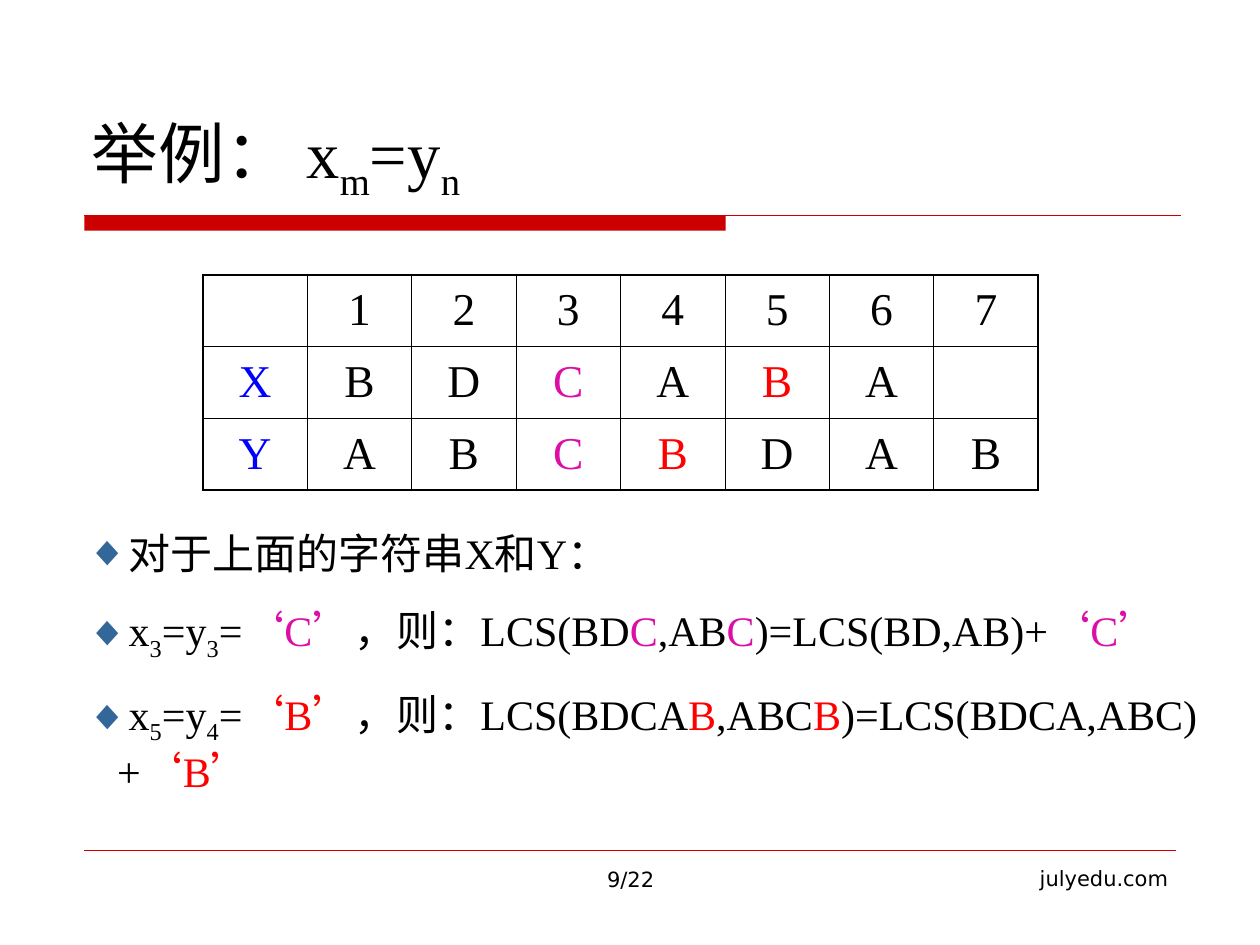
from lxml.etree import SubElement
from pptx import Presentation
from pptx.dml.color import RGBColor
from pptx.enum.lang import MSO_LANGUAGE_ID
from pptx.enum.shapes import MSO_CONNECTOR, MSO_SHAPE
from pptx.enum.text import MSO_ANCHOR, MSO_AUTO_SIZE, PP_ALIGN
from pptx.oxml.ns import qn
from pptx.util import Inches, Pt

COLORS = {
    "black": "000000",
    "rule": "CC0000",
    "blue": "0000FF",
    "pink": "DC0EA6",
    "red": "FF0000",
    "bullet": "336699",
}
SERIF = "Times New Roman"


def color(name):
    return RGBColor.from_string(COLORS[name])


def write(para, spans, size, font_name=SERIF):
    para.font.name = font_name
    para.font.size = Pt(size)
    para.font.color.rgb = color("black")
    for text, style in spans:
        span = para.add_run()
        span.text = text
        span.font.language_id = MSO_LANGUAGE_ID.SIMPLIFIED_CHINESE
        if style == "sub":
            span.font._element.set("baseline", "-25000")
        elif style:
            span.font.color.rgb = color(style)


deck = Presentation()
deck.slide_width, deck.slide_height = Inches(10), Inches(7.5)
page = deck.slides.add_slide(deck.slide_layouts[1])
title, body = page.placeholders

bar = page.shapes.add_shape(
    MSO_SHAPE.RECTANGLE, Inches(0.67), Inches(1.71), Inches(5.09), Inches(0.12)
)
bar.shadow.inherit = False
bar.fill.solid()
bar.fill.fore_color.rgb = color("rule")
bar.line.fill.background()

for top, right, width in [(1.71, 9.37, 0.75), (6.75, 9.33, 0.25)]:
    rule = page.shapes.add_connector(
        MSO_CONNECTOR.STRAIGHT, Inches(0.67), Inches(top), Inches(right), Inches(top)
    )
    rule.line.color.rgb = color("rule")
    rule.line.width = Pt(width)
    SubElement(rule._element.spPr, qn("a:effectLst"))

footers = [
    ("9/22", 3.42, 6.83, 3.17, PP_ALIGN.CENTER),
    ("julyedu.com", 7.2, 6.82, 2.17, PP_ALIGN.RIGHT),
]
for text, left, top, width, align in footers:
    box = page.shapes.add_textbox(Inches(left), Inches(top), Inches(width), Inches(0.52))
    box.text_frame.word_wrap = True
    para = box.text_frame.paragraphs[0]
    para.alignment = align
    write(para, [(text, None)], 12, "DejaVu Sans")

title.left, title.top = Inches(0.63), Inches(0.33)
title.width, title.height = Inches(8.75), Inches(1.33)
title.text_frame.auto_size = MSO_AUTO_SIZE.NONE
title.text_frame.vertical_anchor = MSO_ANCHOR.BOTTOM
para = title.text_frame.paragraphs[0]
para.alignment = PP_ALIGN.LEFT
write(para, [("举例： x", None), ("m", "sub"), ("=y", None), ("n", "sub")], 38)

rows = [" 1234567", "XBDCABA ", "YABCBDAB"]
highlights = {
    (1, 0): "blue", (2, 0): "blue",
    (1, 3): "pink", (2, 3): "pink",
    (1, 5): "red", (2, 4): "red",
}
table = page.shapes.add_table(
    3, 8, Inches(1.61), Inches(2.18), Inches(6.63), Inches(1.71)
).table
for column in table.columns:
    column.width = Inches(6.63 / 8)
for row, letters in enumerate(rows):
    table.rows[row].height = Inches(0.57)
    for col, letter in enumerate(letters):
        cell = table.cell(row, col)
        cell.vertical_anchor = MSO_ANCHOR.MIDDLE
        para = cell.text_frame.paragraphs[0]
        para.alignment = PP_ALIGN.CENTER
        if letter != " ":
            write(para, [(letter, highlights.get((row, col)))], 26)
        outer_edges = {"lnL": col == 0, "lnR": col == 7, "lnT": row == 0, "lnB": row == 2}
        properties = cell._tc.get_or_add_tcPr()
        for edge, is_outer in outer_edges.items():
            border = SubElement(properties, qn(f"a:{edge}"), w=str(Pt(1.08 if is_outer else 0.45)))
            fill = SubElement(border, qn("a:solidFill"))
            SubElement(fill, qn("a:srgbClr"), val=COLORS["black"])
        cell.fill.background()

examples = [
    [("对于上面的字符串X和Y：", None)],
    [
        ("x", None), ("3", "sub"), ("=y", None), ("3", "sub"), ("=", None),
        ("‘C’", "pink"), ("，则：LCS(BD", None), ("C", "pink"), (",AB", None),
        ("C", "pink"), (")=LCS(BD,AB)+", None), ("‘C’", "pink"),
    ],
    [
        ("x", None), ("5", "sub"), ("=y", None), ("4", "sub"), ("=", None),
        ("‘B’", "red"), ("，则：LCS(BDCA", None), ("B", "red"), (",ABC", None),
        ("B", "red"), (")=LCS(BDCA,ABC)+", None), ("‘B’", "red"),
    ],
]
body.left, body.top = Inches(0.59), Inches(4.14)
body.width, body.height = Inches(9.29), Inches(2.23)
frame = body.text_frame
frame.auto_size = MSO_AUTO_SIZE.NONE
for index, spans in enumerate(examples):
    para = frame.add_paragraph() if index else frame.paragraphs[0]
    properties = para._p.get_or_add_pPr()
    properties.set("marL", str(Inches(0.24)))
    properties.set("indent", str(-Inches(0.24)))
    bullet_color = SubElement(properties, qn("a:buClr"))
    SubElement(bullet_color, qn("a:srgbClr"), val=COLORS["bullet"])
    SubElement(properties, qn("a:buChar"), char="◆")
    para.space_before = Pt(15 if index else 0)
    write(para, spans, 24)

deck.save("out.pptx")
